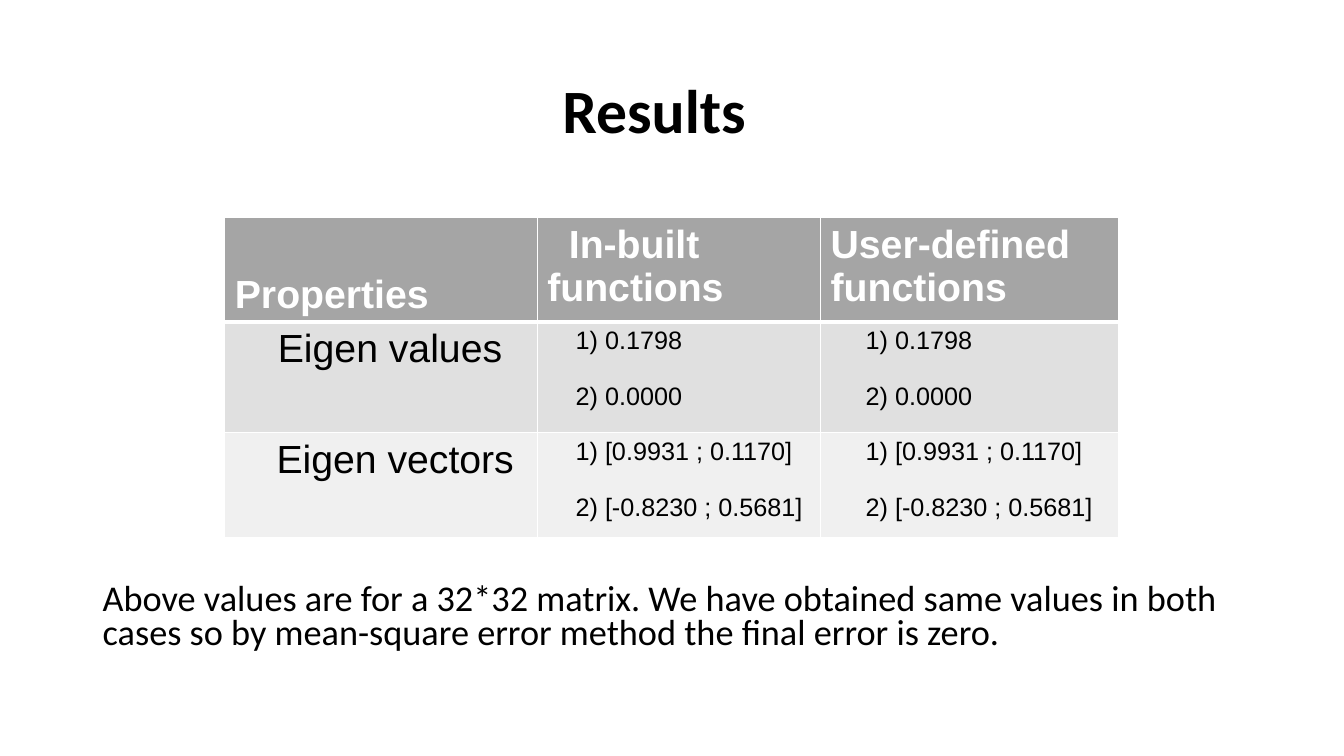
from pptx import Presentation
from pptx.dml.color import RGBColor
from pptx.enum.text import MSO_ANCHOR, PP_ALIGN
from pptx.oxml import parse_xml
from pptx.oxml.ns import nsdecls
from pptx.util import Inches, Pt

theme = {
    "head": "A5A5A5", "odd": "E0E0E0", "even": "F0F0F0",
    "white": "FFFFFF", "black": "000000",
    "sans": "Calibri", "grid": "Arial",
    "title": 44, "note": 25.9, "label": 28, "value": 18,
}

deck = Presentation()
deck.slide_width, deck.slide_height = Inches(13.33), Inches(7.5)
slide = deck.slides.add_slide(deck.slide_layouts[6])
col, row = deck.slide_width / 100, deck.slide_height / 100


def write(frame, text, size="value", font="grid", color="black", bold=False,
          align=PP_ALIGN.LEFT, anchor=MSO_ANCHOR.TOP, indent=0, gap=0, lead=None):
    frame.word_wrap = True
    frame.vertical_anchor = anchor
    frame.text = text
    for n, para in enumerate(frame.paragraphs):
        para.alignment = align
        para.line_spacing = lead
        para.space_before = Pt(gap if n else 0)
        para._p.get_or_add_pPr().set("indent", str(int(indent * col)))
        para.font.size = Pt(theme[size])
        para.font.name = theme[font]
        para.font.bold = bold
        para.font.color.rgb = RGBColor.from_string(theme[color])


title = slide.shapes.add_textbox(
    int(5.55 * col), int(5.33 * row), int(86.27 * col), int(19.33 * row))
write(title.text_frame, "Results", size="title", font="sans", bold=True,
      align=PP_ALIGN.CENTER, anchor=MSO_ANCHOR.MIDDLE, lead=0.9)

note = slide.shapes.add_textbox(
    int(6.9 * col), int(76.5 * row), int(86.27 * col), int(12 * row))
write(note.text_frame,
      "Above values are for a 32*32 matrix. We have obtained same values in both "
      "cases so by mean-square error method the final error is zero.",
      size="note", font="sans", lead=0.8)

values = "1) 0.1798\n2) 0.0000"
vectors = "1) [0.9931 ; 0.1170]\n2) [-0.8230 ; 0.5681]"
rows = [
    ["Properties", "In-built functions", "User-defined functions"],
    ["Eigen values", values, values],
    ["Eigen vectors", vectors, vectors],
]
widths = [23.25, 21.08, 22.2]
heights = [12.8, 14.67, 13.87]
indents = [[0, 1.6, 0], [3.2, 2.1, 2.6], [3.1, 2.1, 2.6]]
fills = ["head", "odd", "even"]

table = slide.shapes.add_table(
    3, 3, int(16.73 * col), int(28.8 * row),
    int(sum(widths) * col), int(sum(heights) * row)).table
for c, width in enumerate(widths):
    table.columns[c].width = int(width * col)

for r, texts in enumerate(rows):
    table.rows[r].height = int(heights[r] * row)
    for c, text in enumerate(texts):
        cell = table.cell(r, c)
        head = r == 0
        write(cell.text_frame, text, size="label" if head or c == 0 else "value",
              color="white" if head else "black", bold=head,
              indent=indents[r][c], gap=19.5)
        cell.vertical_anchor = MSO_ANCHOR.BOTTOM if head and c == 0 else MSO_ANCHOR.TOP
        props = cell._tc.get_or_add_tcPr()
        for side in ("lnL", "lnR", "lnT", "lnB"):
            thick = (side, r) in (("lnB", 0), ("lnT", 1))
            props.append(parse_xml(
                f'<a:{side} {nsdecls("a")} w="{Pt(3 if thick else 1)}"><a:solidFill>'
                f'<a:srgbClr val="{theme["white"]}"/></a:solidFill></a:{side}>'))
        cell.fill.solid()
        cell.fill.fore_color.rgb = RGBColor.from_string(theme[fills[r]])

deck.save("out.pptx")
